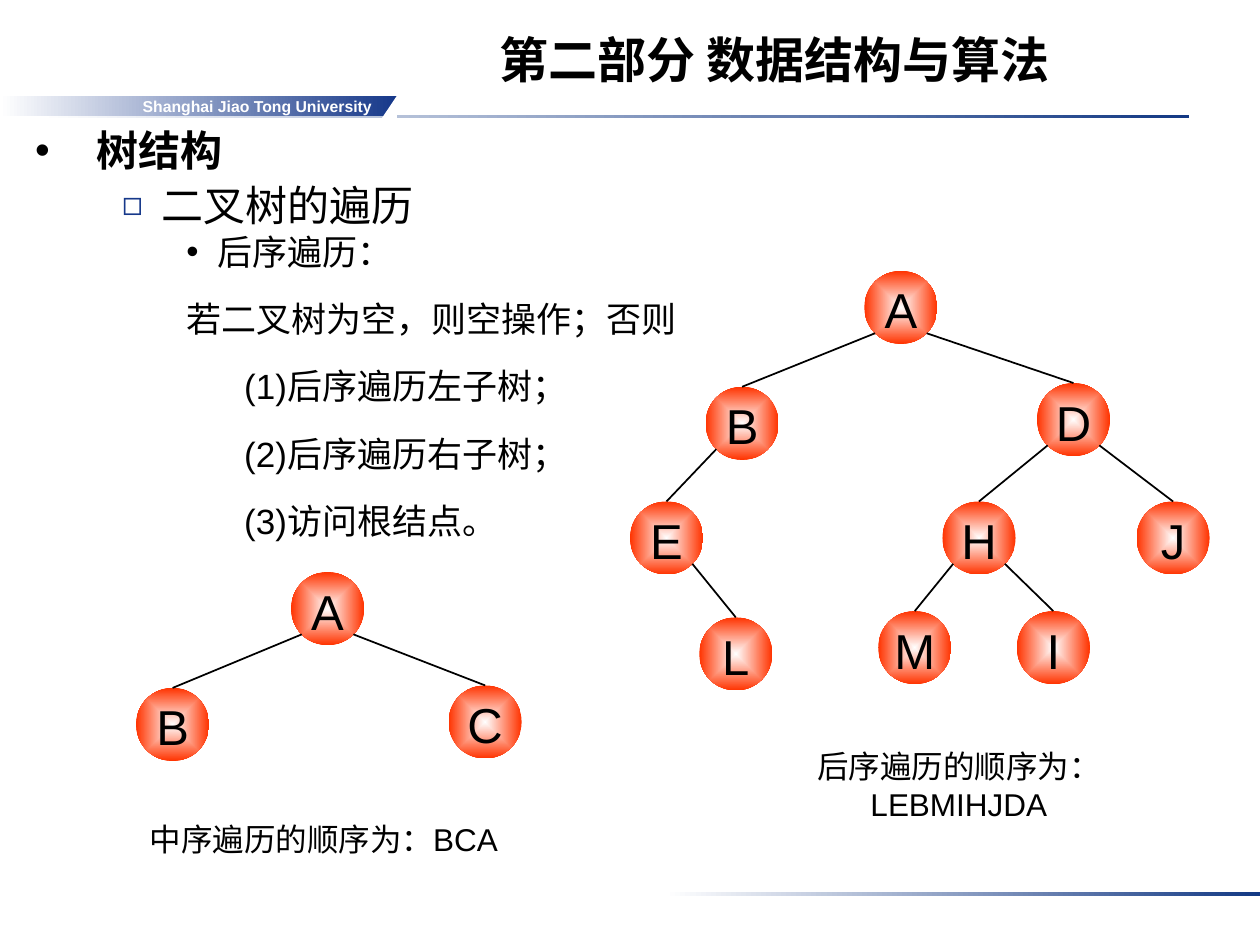
import pptx
import pptx.util
import pptx.dml.color
import pptx.enum.shapes
import pptx.enum.text
import pptx.oxml
import pptx.oxml.ns
from lxml import etree

Inches = pptx.util.Inches
Pt = pptx.util.Pt
RGBColor = pptx.dml.color.RGBColor
MSO_SHAPE = pptx.enum.shapes.MSO_SHAPE
ALIGN = pptx.enum.text.PP_ALIGN
ANCHOR = pptx.enum.text.MSO_ANCHOR
qn = pptx.oxml.ns.qn

WHITE = RGBColor(0xFF, 0xFF, 0xFF)
BLACK = RGBColor(0, 0, 0)
RULE_BLUE = RGBColor(0x13, 0x39, 0x84)
BANNER_BLUE = RGBColor(0x16, 0x38, 0x8A)
NODE_RED = RGBColor(0xFF, 0x33, 0x00)

prs = pptx.Presentation()
prs.slide_width = Inches(10)
prs.slide_height = Inches(7.5)
slide = prs.slides.add_slide(prs.slide_layouts[6])


def add_gradient_shape(kind, box, end_color):
    s = slide.shapes.add_shape(kind, *map(Inches, box))
    s.shadow.inherit = False
    s.line.fill.background()
    s.fill.gradient()
    s.fill.gradient_angle = 0
    for stop, color in zip(s.fill.gradient_stops, (WHITE, end_color)):
        stop.color.rgb = color
    return s


def write_line(p, text, align, size, bold=False, color=BLACK):
    p.alignment = align
    r = p.add_run()
    r.text = text
    r.font.color.rgb = color
    for name, value in {"name": "Arial", "size": Pt(size), "bold": bold}.items():
        setattr(r.font, name, value)


for box in [(0.31, 0.91, 9.13, 0.03), (5.28, 7.08, 4.72, 0.03)]:
    add_gradient_shape(MSO_SHAPE.RECTANGLE, box, RULE_BLUE)

banner = add_gradient_shape(MSO_SHAPE.RECTANGLE, (0, 0.76, 3.15, 0.16), BANNER_BLUE)
tf = banner.text_frame
for name, value in {"margin_top": 0, "margin_bottom": 0, "margin_right": Inches(0.2),
                    "vertical_anchor": ANCHOR.MIDDLE, "word_wrap": False}.items():
    setattr(tf, name, value)
write_line(tf.paragraphs[0], "Shanghai Jiao Tong University", ALIGN.RIGHT, 9, True, WHITE)

corner = slide.shapes.add_shape(MSO_SHAPE.RIGHT_TRIANGLE, Inches(3.03), Inches(0.76),
                                Inches(0.12), Inches(0.18))
corner.shadow.inherit = False
corner.fill.solid()
corner.fill.fore_color.rgb = WHITE
corner.line.fill.background()
corner.element.spPr.get_or_add_xfrm().set("flipH", "1")

captions = [
    ((2.59, 0, 7.11, 0.75), ["第二部分 数据结构与算法"], 28, True, ANCHOR.BOTTOM),
    ((0.87, 6.46, 3.4, 0.4), ["中序遍历的顺序为：BCA"], 18, False, ANCHOR.TOP),
    ((5.82, 5.88, 3.58, 0.7), ["后序遍历的顺序为：", "LEBMIHJDA"], 18, False, ANCHOR.TOP),
]
for box, lines, size, bold, anchor in captions:
    tf = slide.shapes.add_textbox(*map(Inches, box)).text_frame
    tf.word_wrap = True
    tf.vertical_anchor = anchor
    for i, line in enumerate(lines):
        p = tf.add_paragraph() if i else tf.paragraphs[0]
        write_line(p, line, ALIGN.CENTER, size, bold)

outline = [
    ("树结构", 24, True, 1.1, 0.49, -0.49, ("•", BLACK, 100)),
    ("二叉树的遍历", 24, False, 1.1, 1, -0.31, ("◻", BANNER_BLUE, 80)),
    ("后序遍历：", 20, False, 1, 1.45, -0.25, ("•", BLACK, 100)),
    ("若二叉树为空，则空操作；否则", 20, False, 1.6, 1.45, -0.25, None),
    ("(1)后序遍历左子树；", 20, False, 1.6, 1.66, 0, None),
    ("(2)后序遍历右子树；", 20, False, 1.6, 1.66, 0, None),
    ("(3)访问根结点。", 20, False, 1.6, 1.66, 0, None),
]
tf = slide.shapes.add_textbox(*map(Inches, (0.18, 0.9, 6.89, 5.46))).text_frame
tf.word_wrap = True
for i, (text, size, bold, spacing, left, indent, bullet) in enumerate(outline):
    p = tf.add_paragraph() if i else tf.paragraphs[0]
    p.line_spacing = spacing
    pPr = p._p.get_or_add_pPr()
    pPr.set("marL", str(Inches(left)))
    pPr.set("indent", str(Inches(indent)))
    if bullet:
        char, color, percent = bullet
        bu_color = etree.SubElement(pPr, qn("a:buClr"))
        etree.SubElement(bu_color, qn("a:srgbClr"), val=str(color))
        etree.SubElement(pPr, qn("a:buSzPct"), val=str(percent * 1000))
        etree.SubElement(pPr, qn("a:buFont"), typeface="Arial")
        etree.SubElement(pPr, qn("a:buChar"), char=char)
    else:
        etree.SubElement(pPr, qn("a:buNone"))
    write_line(p, text, ALIGN.LEFT, size, bold)

NODE = 0.58
DIAGONAL = NODE / 2 * 0.707
LEFT, RIGHT = -1, 1
trees = [
    ({"A": (2.31, 4.54), "B": (1.08, 5.46), "C": (3.56, 5.44)},
     [("A", "B", LEFT), ("A", "C", RIGHT)]),
    ({"A": (6.86, 2.15), "B": (5.6, 3.07), "D": (8.23, 3.04),
      "E": (5, 3.98), "H": (7.48, 3.98), "J": (9.02, 3.98),
      "L": (5.55, 4.9), "M": (6.97, 4.85), "I": (8.07, 4.85)},
     [("A", "B", LEFT), ("A", "D", RIGHT), ("B", "E", LEFT), ("E", "L", RIGHT),
      ("D", "H", LEFT), ("D", "J", RIGHT), ("H", "M", LEFT), ("H", "I", RIGHT)]),
]
for nodes, edges in trees:
    for label, (x, y) in nodes.items():
        s = add_gradient_shape(MSO_SHAPE.OVAL, (x, y, NODE, NODE), NODE_RED)
        lin = s.element.spPr.find(".//" + qn("a:lin"))
        focus = etree.Element(qn("a:path"), path="rect")
        etree.SubElement(focus, qn("a:fillToRect"), l="50000", t="50000", r="50000", b="50000")
        lin.getparent().replace(lin, focus)
        tf = s.text_frame
        for name, value in {"margin_left": 0, "margin_right": 0, "margin_top": Inches(0.03),
                            "margin_bottom": 0, "word_wrap": False,
                            "vertical_anchor": ANCHOR.MIDDLE}.items():
            setattr(tf, name, value)
        write_line(tf.paragraphs[0], label, ALIGN.CENTER, 28)
    for parent, child, side in edges:
        x, y = nodes[parent]
        child_x, child_y = nodes[child]
        ends = (x + NODE / 2 + side * DIAGONAL, y + NODE / 2 + DIAGONAL,
                child_x + NODE / 2, child_y)
        c = slide.shapes.add_connector(pptx.enum.shapes.MSO_CONNECTOR.STRAIGHT,
                                       *map(Inches, ends))
        c.line.color.rgb = BLACK
        c.line.width = Pt(1)
        etree.SubElement(c.element.spPr, qn("a:effectLst"))

prs.save("out.pptx")
